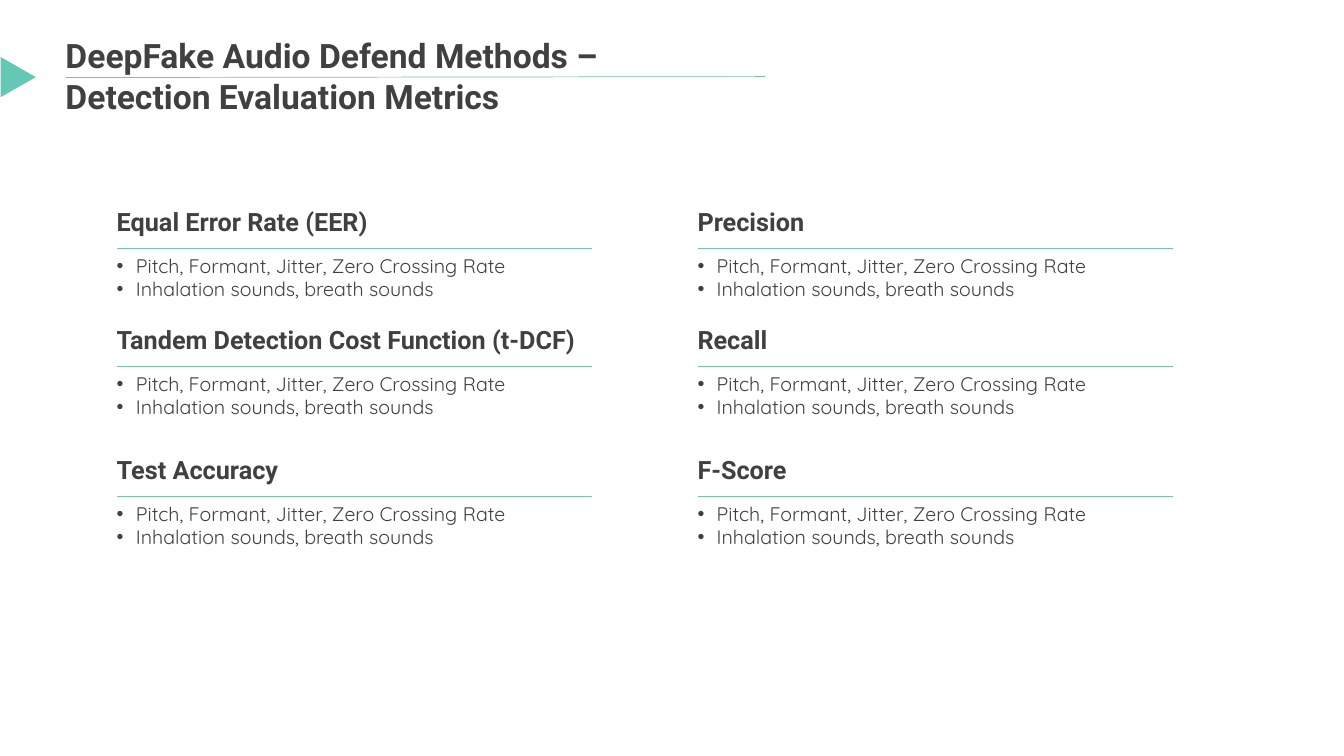
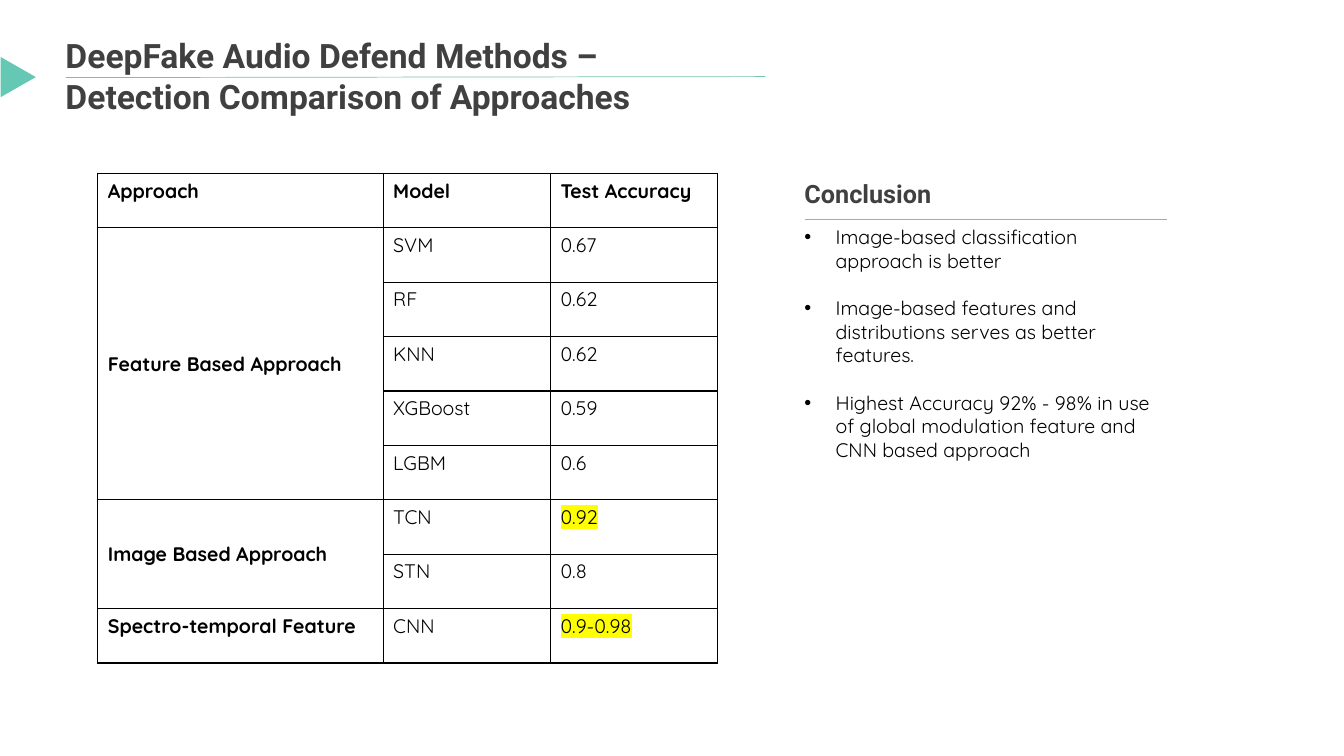
from lxml import etree
from pptx import Presentation
from pptx import util as u
from pptx.dml import color
from pptx.enum import shapes, text
from pptx.oxml import ns

GREY, BLACK, MINT, TEAL, GOLD = "404040", "000000", "76C4A6", "64C8B4", "FFFF00"
HEAD, BODY = "Roboto", "Quicksand"


def rgb(code):
    return color.RGBColor.from_string(code)


def sub(node, tag, **attrs):
    return etree.SubElement(node, ns.qn(tag), attrs)


class Deck:
    """Holds the deck style and the current slide."""

    def __init__(self):
        self.prs = Presentation()
        self.prs.slide_width = u.Inches(13.33)
        self.prs.slide_height = u.Inches(7.5)

    def start(self, title):
        self.slide = self.prs.slides.add_slide(self.prs.slide_layouts[6])
        self.rule(0.65, 0.77, 7.59, 0.76)
        frame = self.box(0.65, 0.35, 6.6, 0.81, 0)
        self.label(frame.paragraphs[0], title, 24, HEAD, GREY, True)
        mark = self.slide.shapes.add_shape(
            shapes.MSO_SHAPE.ISOSCELES_TRIANGLE,
            *map(u.Inches, (-0.02, 0.59, 0.4, 0.35)))
        mark.rotation = 90
        mark.shadow.inherit = False
        mark.fill.solid()
        mark.fill.fore_color.rgb = rgb(TEAL)
        mark.line.fill.background()

    def rule(self, x1, y1, x2, y2):
        line = self.slide.shapes.add_connector(
            shapes.MSO_CONNECTOR.STRAIGHT, *map(u.Inches, (x1, y1, x2, y2)))
        line.line.color.rgb = rgb(MINT)
        line.line.width = u.Pt(0.5)
        sub(line._element.spPr, "a:effectLst")

    def box(self, x, y, w, h, pad=None):
        frame = self.slide.shapes.add_textbox(*map(u.Inches, (x, y, w, h))).text_frame
        frame.word_wrap = True
        if pad is not None:
            frame.margin_left = frame.margin_right = u.Inches(pad)
            frame.margin_top = frame.margin_bottom = u.Inches(pad)
        return frame

    def label(self, para, words, size, face, ink, bold=False):
        para.text = words
        font = para.font
        font.size, font.name, font.bold = u.Pt(size), face, bold
        font.color.rgb = rgb(ink)

    def panel(self, x, y, w, h, head, items, span, dent, ink, gap=0):
        frame = self.box(x, y, w, h)
        self.label(frame.paragraphs[0], head, 18, HEAD, GREY, True)
        for i, item in enumerate(items):
            para = frame.add_paragraph()
            props = para._p.get_or_add_pPr()
            props.set("marL", str(u.Inches(dent)))
            props.set("indent", str(-u.Inches(dent)))
            sub(props, "a:buFont", typeface="Arial")
            sub(props, "a:buChar", char="•")
            para.space_before = u.Pt(gap if i else 12)
            self.label(para, item, 14, BODY, ink)
        left, base = x + 0.1, y + 0.46
        self.rule(left, base, left + span, base)

    def cell(self, cell, words, bold=False, mid=False, glow=False):
        para = cell.text_frame.paragraphs[0]
        self.label(para, words, 14, BODY, BLACK, bold)
        if glow:
            mark = sub(para.runs[0]._r.get_or_add_rPr(), "a:highlight")
            sub(mark, "a:srgbClr", val=GOLD)
        if mid:
            cell.vertical_anchor = text.MSO_ANCHOR.MIDDLE

    def table(self, x, y, cols, high, heads, groups):
        count = 1 + sum(len(rows) for _, rows in groups)
        grid = self.slide.shapes.add_table(
            count, len(cols),
            *map(u.Inches, (x, y, sum(cols), high * count))).table
        grid.first_row = grid.horz_banding = False
        for col, wide in zip(grid.columns, cols):
            col.width = u.Inches(wide)
        for row in grid.rows:
            row.height = u.Inches(high)
        for cell in grid.iter_cells():
            props = cell._tc.get_or_add_tcPr()
            for side in "LRTB":
                edge = sub(props, f"a:ln{side}", w=str(u.Pt(1)))
                sub(sub(edge, "a:solidFill"), "a:srgbClr", val=BLACK)
            cell.fill.background()
        for c, head in enumerate(heads):
            self.cell(grid.cell(0, c), head, True)
        top = 1
        for name, rows in groups:
            last = top + len(rows) - 1
            if last > top:
                grid.cell(top, 0).merge(grid.cell(last, 0))
            self.cell(grid.cell(top, 0), name, True, last > top)
            for r, (model, score) in enumerate(rows, top):
                self.cell(grid.cell(r, 1), model)
                self.cell(grid.cell(r, 2), score, glow=score in ("0.92", "0.9-0.98"))
            top = last + 1


def main():
    deck = Deck()
    deck.start("DeepFake Audio Defend Methods – Detection Evaluation Metrics")
    items = ["Pitch, Formant, Jitter, Zero Crossing Rate",
             "Inhalation sounds, breath sounds"]
    sides = [
        (1.06, ["Equal Error Rate (EER)", "Tandem Detection Cost Function (t-DCF)",
                "Test Accuracy"]),
        (6.82, ["Precision", "Recall", "F-Score"]),
    ]
    for x, heads in sides:
        for y, head in zip((2, 3.17, 4.46), heads):
            deck.panel(x, y, 5.46, 1.04, head, items, 4.71, 0.19, GREY)

    deck.start("DeepFake Audio Defend Methods – Detection Comparison of Approaches")
    deck.table(0.97, 1.72, (2.83, 1.66, 1.66), 0.54,
               ("Approach", "Model", "Test Accuracy"), [
                   ("Feature Based Approach", [
                       ("SVM", "0.67"), ("RF", "0.62"), ("KNN", "0.62"),
                       ("XGBoost", "0.59"), ("LGBM", "0.6")]),
                   ("Image Based Approach", [("TCN", "0.92"), ("STN", "0.8")]),
                   ("Spectro-temporal Feature", [("CNN", "0.9-0.98")]),
               ])
    deck.panel(7.88, 1.72, 3.81, 2.93, "Conclusion", [
        "Image-based classification approach is better",
        "Image-based features and distributions serves as better features.",
        "Highest Accuracy 92% - 98% in use of global modulation feature "
        "and CNN based approach",
    ], 3.59, 0.31, BLACK, 17)
    deck.prs.save("out.pptx")


if __name__ == "__main__":
    main()
